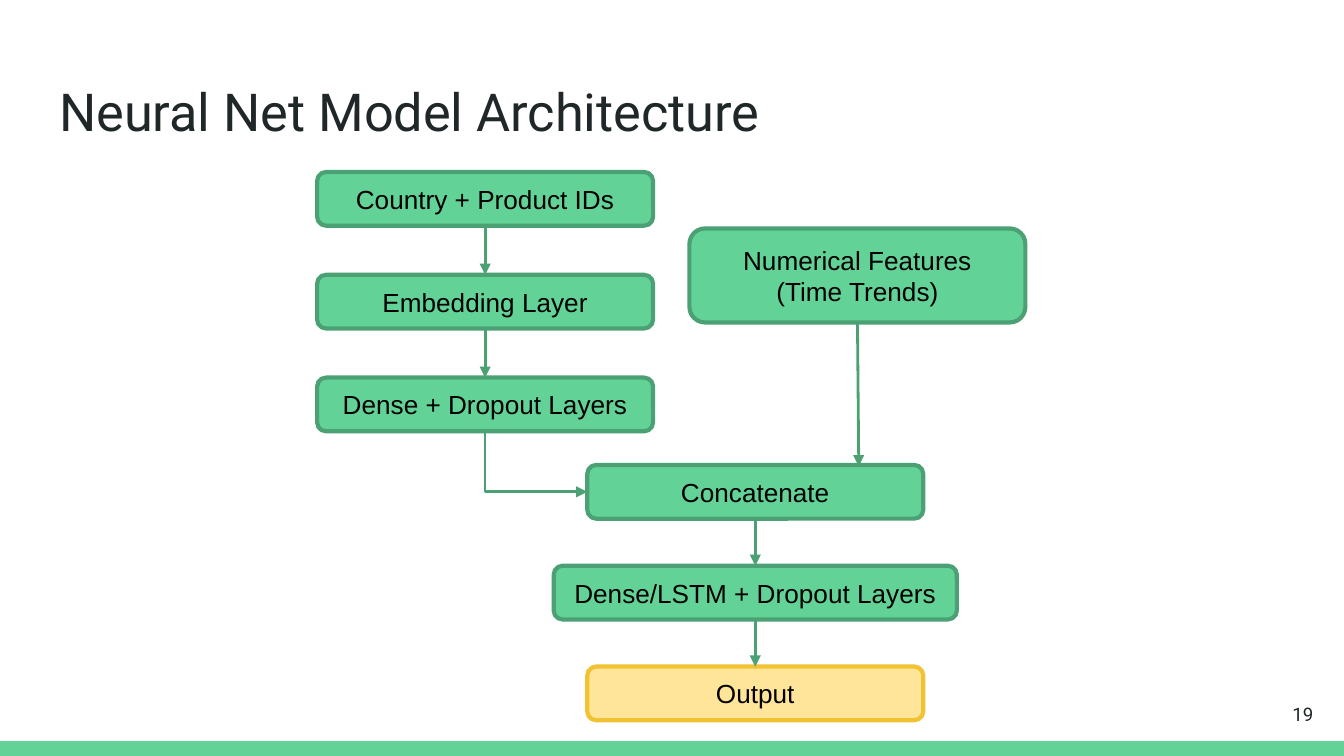
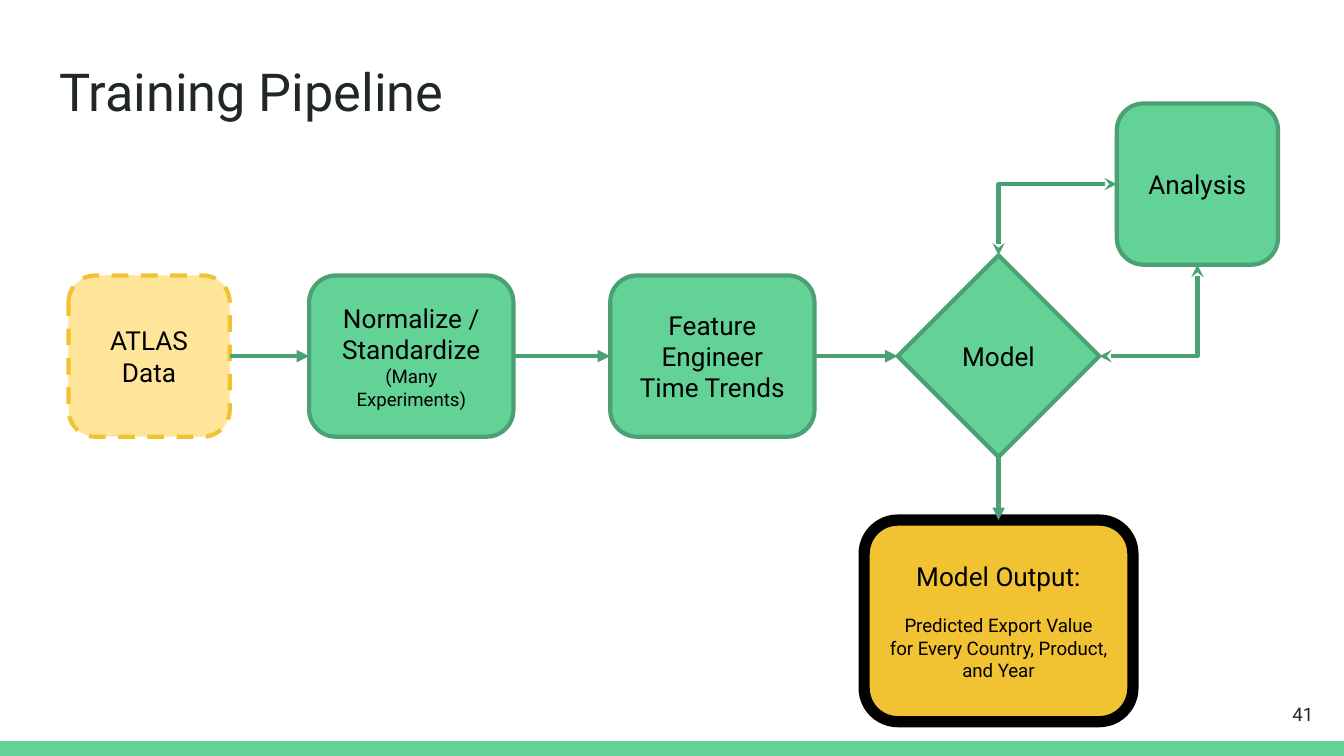
from lxml import etree
from pptx import Presentation
from pptx.dml.color import RGBColor
from pptx.enum.dml import MSO_LINE_DASH_STYLE as Dash
from pptx.enum.shapes import MSO_CONNECTOR as Route, MSO_SHAPE as Preset
from pptx.enum.text import MSO_ANCHOR as Anchor, MSO_AUTO_SIZE as AutoSize, PP_ALIGN as Align
from pptx.oxml.ns import qn
from pptx.util import Inches, Pt

# Shared colours and measures; one unit is a tenth of the slide's width
GREEN, DARK_GREEN, INK, BLACK = "63D297", "4BA173", "202729", "000000"
PALE_YELLOW, YELLOW = "FFE599", "F1C232"
WIDTH, HEIGHT = Inches(10), Inches(5.625)
UNIT = WIDTH // 10
rgb = RGBColor.from_string
TOP, LEFT, BOTTOM, RIGHT = range(4)

FRAME = {f"margin_{side}": Inches(0.1) for side in ("left", "top", "right", "bottom")}
FRAME |= {"word_wrap": True, "auto_size": AutoSize.NONE}
STEP = {"fill": GREEN, "line": DARK_GREEN, "weight": 2.25}
DATA = {"fill": PALE_YELLOW, "line": YELLOW, "weight": 2.25}
RESULT = {"fill": YELLOW, "line": BLACK, "weight": 6}
ROUNDED, PROCESS = Preset.ROUNDED_RECTANGLE, Preset.FLOWCHART_ALTERNATE_PROCESS


def box(slide, centre, top, width, height, lines, font, style=STEP, preset=PROCESS):
    """Add a node; each line is (space before, [(text, size), ...])."""
    node = slide.shapes.add_shape(
        preset, *(round(v * UNIT) for v in (centre - width / 2, top, width, height)))
    node.shadow.inherit = False
    node.fill.solid()
    node.fill.fore_color.rgb = rgb(style["fill"])
    node.line.color.rgb = rgb(style["line"])
    node.line.width = Pt(style["weight"])
    frame = node.text_frame
    for name, value in (FRAME | {"vertical_anchor": Anchor.MIDDLE}).items():
        setattr(frame, name, value)
    for i, (gap, pieces) in enumerate(lines):
        line = frame.add_paragraph() if i else frame.paragraphs[0]
        line.alignment = Align.CENTER
        if gap:
            line.space_before = Pt(gap)
        for text, size in pieces:
            run = line.add_run()
            run.text = text
            run.font.name, run.font.size = font, Pt(size)
            run.font.color.rgb = rgb(BLACK)
    return node


def link(slide, begin, begin_site, end, end_site, weight, elbow=False, head=None, tail="triangle"):
    """Join two nodes; an end without a site is a free point."""
    arrow = slide.shapes.add_connector(Route.ELBOW if elbow else Route.STRAIGHT, 0, 0, 0, 0)
    arrow.begin_connect(begin, begin_site)
    if end_site is None:
        arrow.end_x, arrow.end_y = (round(v * UNIT) for v in end)
    else:
        arrow.end_connect(end, end_site)
    arrow.line.color.rgb = rgb(DARK_GREEN)
    arrow.line.width = Pt(weight)
    outline = arrow.element.spPr
    if elbow:  # one corner: across first, then up or down
        outline.find(qn("a:prstGeom")).set("prst", "bentConnector2")
    for tag, kind in (("a:headEnd", head), ("a:tailEnd", tail)):
        if kind:
            etree.SubElement(outline.find(qn("a:ln")), qn(tag), type=kind)
    etree.SubElement(outline, qn("a:effectLst"))


deck = Presentation()
deck.slide_width, deck.slide_height = WIDTH, HEIGHT

# Shared parts: bottom band, title and page number
slides = []
for heading, heading_top, number in (
        ("Neural Net Model Architecture", 0.49, "19"),
        ("Training Pipeline", 0.34, "41")):
    slide = deck.slides.add_slide(deck.slide_layouts[5])
    slides.append(slide)
    band_height = round(0.11 * UNIT)
    band = slide.shapes.add_shape(Preset.RECTANGLE, 0, HEIGHT - band_height, WIDTH, band_height)
    band.shadow.inherit = False
    band.fill.solid()
    band.fill.fore_color.rgb = rgb(GREEN)
    band.line.fill.background()

    title = slide.shapes.title
    page = slide.shapes.add_textbox(0, 0, 0, 0)
    for part, text, place, size, align, anchor in (
            (title, heading, (0.34, heading_top, 9.32, 0.63), 28, Align.LEFT, Anchor.TOP),
            (page, number, (9.27, 5.1, 0.6, 0.43), 10, Align.RIGHT, Anchor.MIDDLE)):
        part.left, part.top, part.width, part.height = (round(v * UNIT) for v in place)
        for name, value in (FRAME | {"vertical_anchor": anchor}).items():
            setattr(part.text_frame, name, value)
        line = part.text_frame.paragraphs[0]
        line.text, line.alignment = text, align
        line.font.name, line.font.size = "Roboto", Pt(size)
        line.font.color.rgb = rgb(INK)

architecture, pipeline = slides

# Architecture: embedding branch, numerical branch, merged trunk
branch = [
    box(architecture, 3.61, 1.28 + 0.765 * row, 2.5, 0.4, [(0, [(label, 14)])], "Arial", preset=preset)
    for row, (label, preset) in enumerate((
        ("Country + Product IDs", PROCESS),
        ("Embedding Layer", ROUNDED),
        ("Dense + Dropout Layers", ROUNDED)))]
numerical = box(architecture, 6.38, 1.7, 2.5, 0.7,
                [(0, [("Numerical Features", 14)]), (0, [("(Time Trends)", 14)])], "Arial")
trunk = [
    box(architecture, 5.62, 3.46 + 0.75 * row, width, 0.4, [(0, [(label, 14)])], "Arial", style, preset)
    for row, (label, width, style, preset) in enumerate((
        ("Concatenate", 2.5, STEP, PROCESS),
        ("Dense/LSTM + Dropout Layers", 3, STEP, ROUNDED),
        ("Output", 2.5, DATA, PROCESS)))]
for chain in (branch, trunk):
    for upper, lower in zip(chain, chain[1:]):
        link(architecture, upper, BOTTOM, lower, TOP, 1.5)
link(architecture, trunk[0], LEFT, branch[-1], BOTTOM, 1.5, elbow=True, head="triangle", tail=None)
link(architecture, numerical, BOTTOM, (6.39, 3.47), None, 1.5)

# Pipeline: steps centred on one row
AXIS = 2.65
flow = [
    box(pipeline, centre, AXIS - height / 2, width, height, [(0, pieces)], "Roboto", style, preset)
    for centre, width, height, pieces, style, preset in (
        (1.11, 1.2, 1.2, [("ATLAS Data", 14)], DATA, PROCESS),
        (3.06, 1.52, 1.2, [("Normalize / Standardize ", 14), ("(Many Experiments)", 10)], STEP, PROCESS),
        (5.3, 1.52, 1.2, [("Feature Engineer Time Trends", 14)], STEP, PROCESS),
        (7.43, 1.5, 1.5, [("Model", 14)], STEP, Preset.DIAMOND))]
flow[0].line.dash_style = Dash.DASH
model = flow[-1]
analysis = box(pipeline, 8.91, 0.77, 1.2, 1.2, [(0, [("Analysis", 14)])], "Roboto")
output = box(pipeline, 7.43, 3.87, 2, 1.5, [
    (0, [("Model Output:", 14)]),
    (12, [("Predicted Export Value", 10)]),
    (0, [("for Every Country, Product, and Year", 10)])], "Roboto", RESULT)

# Pipeline arrows, with the two-way loop between model and analysis
for before, after in zip(flow, flow[1:]):
    link(pipeline, before, RIGHT, after, LEFT, 2.25)
link(pipeline, model, BOTTOM, output, TOP, 2.25)
for begin, begin_site, end, end_site in (
        (analysis, LEFT, model, TOP), (model, RIGHT, analysis, BOTTOM)):
    link(pipeline, begin, begin_site, end, end_site, 2.25, elbow=True, head="stealth", tail="stealth")

deck.save("out.pptx")
